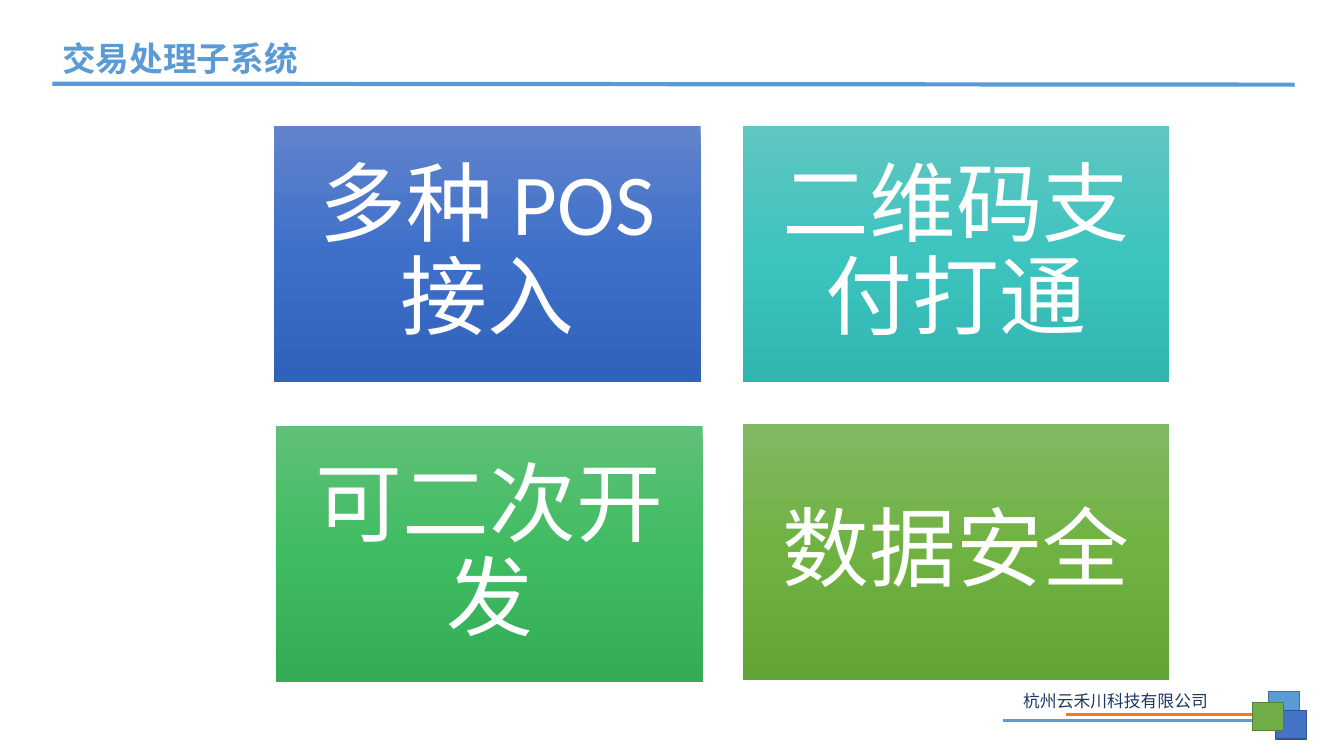
from copy import deepcopy

from lxml.etree import SubElement
from pptx import Presentation
from pptx.dml.color import RGBColor
from pptx.enum.shapes import MSO_CONNECTOR, MSO_SHAPE
from pptx.enum.text import MSO_ANCHOR, PP_ALIGN
from pptx.oxml.ns import qn
from pptx.util import Inches, Pt

CJK = "Noto Sans CJK SC"
BLUE = "5B9BD5"
CARD_W, CARD_H = 4.23, 2.54
COL_X, ROW_Y = (2.72, 7.37), (1.25, 4.21)
NUDGE = 0.02  # the lower left card sits slightly off the grid

CARDS = [
    ("多种 POS 接入", ("6183CB", "3E70CA", "3062BB")),
    ("二维码支付打通", ("60C6C1", "3DC4BF", "30B5B0")),
    ("可二次开发", ("60C077", "3FBC62", "33AC55")),
    ("数据安全", ("81B861", "6FB242", "62A336")),
]
RULES = [
    ((0.52, 0.83), (12.84, 0.84), BLUE, 3),
    ((10.57, 7.09), (12.42, 7.09), "ED7D31", 2.25),
    ((9.95, 7.15), (12.42, 7.15), BLUE, 2.25),
]
SQUARES = [
    (12.58, 6.86, BLUE, "43739E"),
    (12.65, 7.05, "4472C4", "325491"),
    (12.42, 6.97, "70AD47", "538035"),
]


def rgb(color):
    return RGBColor.from_string(color)


def write(tf, text, color, latin=CJK, **font):
    p = tf.paragraphs[0]
    r = p.add_run()
    r.text = text
    for name, value in {"name": latin, **font}.items():
        setattr(r.font, name, value)
    r.font.color.rgb = rgb(color)
    ea = SubElement(r.font._element, qn("a:ea"))
    ea.set("typeface", CJK)
    return p


def add_label(s, box, text, color, **font):
    tf = s.shapes.add_textbox(*map(Inches, box)).text_frame
    tf.word_wrap = True
    write(tf, text, color, **font)


def add_rule(s, start, end, color, width):
    line = s.shapes.add_connector(
        MSO_CONNECTOR.STRAIGHT, *map(Inches, start + end))
    line.line.color.rgb = rgb(color)
    line.line.width = Pt(width)
    SubElement(line._element.spPr, qn("a:effectLst"))


def add_rect(s, *box):
    sp = s.shapes.add_shape(MSO_SHAPE.RECTANGLE, *map(Inches, box))
    sp.shadow.inherit = False
    return sp


def add_square(s, x, y, fill, line):
    sp = add_rect(s, x, y, 0.31, 0.28)
    sp.fill.solid()
    sp.fill.fore_color.rgb = rgb(fill)
    sp.line.color.rgb = rgb(line)
    sp.line.width = Pt(1)


def fill_downward(sp, colors):
    """Fill with a vertical gradient of evenly spaced colours."""
    sp.fill.gradient()
    sp.fill.gradient_angle = 270
    stop_list = sp._element.spPr.find(qn("a:gradFill")).find(qn("a:gsLst"))
    while len(stop_list) < len(colors):
        stop_list.append(deepcopy(stop_list[0]))
    for i, (stop, color) in enumerate(zip(sp.fill.gradient_stops, colors)):
        stop.position = i / (len(colors) - 1)
        stop.color.rgb = rgb(color)


def add_card(s, x, y, text, colors):
    sp = add_rect(s, x, y, CARD_W, CARD_H)
    fill_downward(sp, colors)
    sp.line.fill.background()
    tf = sp.text_frame
    tf.word_wrap = True
    tf.vertical_anchor = MSO_ANCHOR.MIDDLE
    for side in ("left", "top", "right", "bottom"):
        setattr(tf, f"margin_{side}", Inches(0.26))
    p = write(tf, text, "FFFFFF", "Calibri", size=Pt(62))
    p.alignment = PP_ALIGN.CENTER
    p.line_spacing = 0.9


def main():
    prs = Presentation()
    prs.slide_width, prs.slide_height = Inches(13.33), Inches(7.5)
    s = prs.slides.add_slide(prs.slide_layouts[6])
    for rule in RULES:
        add_rule(s, *rule)
    add_label(s, (0.52, 0.33, 2.68, 0.5), "交易处理子系统", BLUE,
              size=Pt(24), bold=True)
    add_label(s, (10.05, 6.8, 2.22, 0.3), "杭州云禾川科技有限公司", "203864",
              size=Pt(12))
    for square in SQUARES:
        add_square(s, *square)
    for i, card in enumerate(CARDS):
        row, col = divmod(i, 2)
        shift = NUDGE if (row, col) == (1, 0) else 0
        add_card(s, COL_X[col] + shift, ROW_Y[row] + shift, *card)
    prs.save("out.pptx")


if __name__ == "__main__":
    main()
